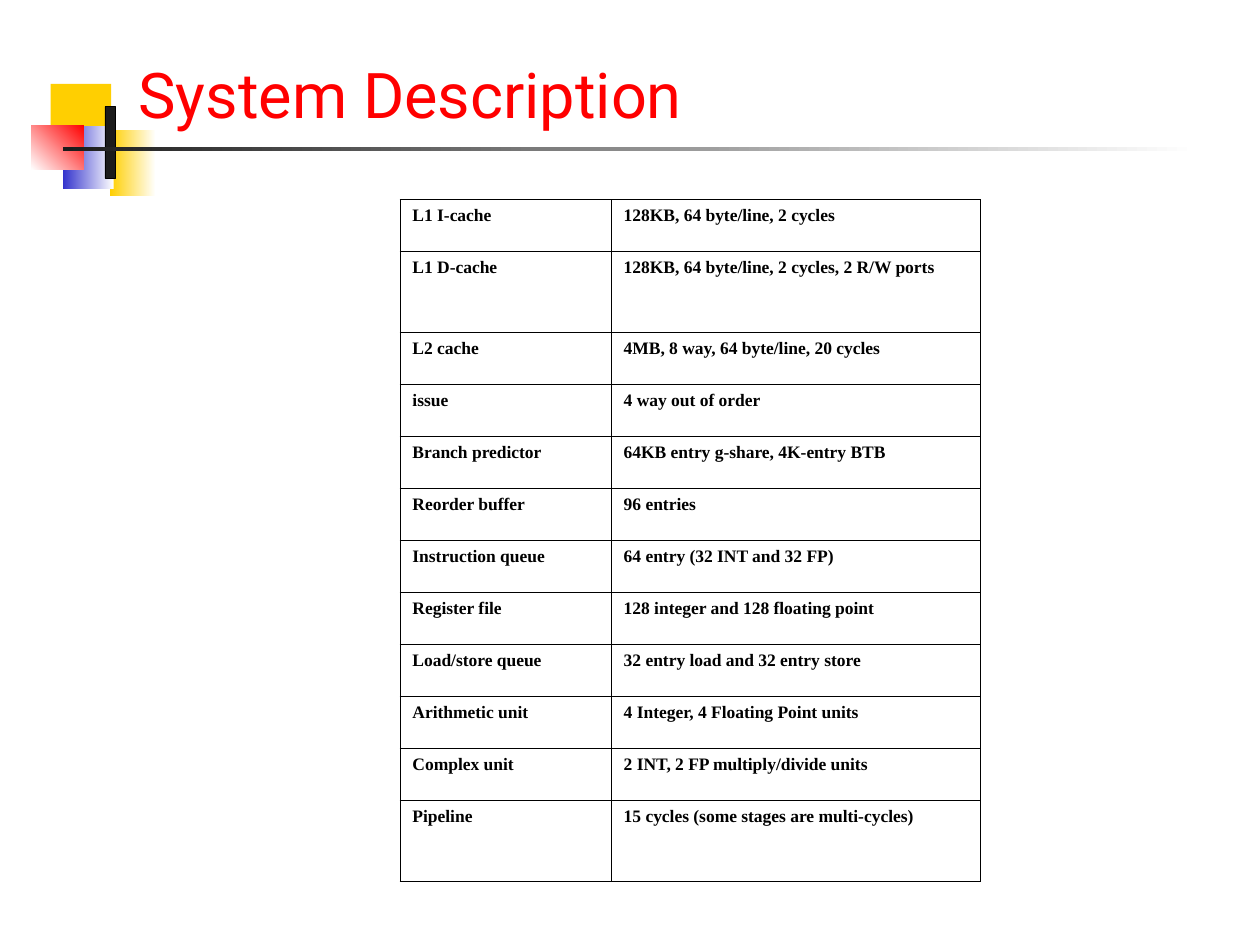
from lxml.etree import SubElement
from pptx import Presentation
from pptx.dml.color import RGBColor
from pptx.enum.shapes import MSO_SHAPE as Shape
from pptx.enum.text import MSO_ANCHOR as Anchor, MSO_AUTO_SIZE as AutoSize, PP_ALIGN as Align
from pptx.oxml.ns import qn
from pptx.util import Pt

# Content
TITLE = "System Description"
SPECIFICATIONS = [
    ("L1 I-cache", "128KB, 64 byte/line, 2 cycles"),
    ("L1 D-cache", "128KB, 64 byte/line, 2 cycles, 2 R/W ports"),
    ("L2 cache", "4MB, 8 way, 64 byte/line, 20 cycles"),
    ("issue", "4 way out of order"),
    ("Branch predictor", "64KB entry g-share, 4K-entry BTB"),
    ("Reorder buffer", "96 entries"),
    ("Instruction queue", "64 entry (32 INT and 32 FP)"),
    ("Register file", "128 integer and 128 floating point"),
    ("Load/store queue", "32 entry load and 32 entry store"),
    ("Arithmetic unit", "4 Integer, 4 Floating Point units"),
    ("Complex unit", "2 INT, 2 FP multiply/divide units"),
    ("Pipeline", "15 cycles (some stages are multi-cycles)"),
]
TALL_ROWS = {"L1 D-cache", "Pipeline"}

THEME = {
    "yellow": "FFCF01", "blue": "3333CC", "red": "FF0000",
    "dark": "1C1C1C", "white": "FFFFFF", "black": "000000",
    "title": {"name": "Roboto", "size": Pt(36), "bold": False},
    "cell": {"name": "Times New Roman", "size": Pt(10), "bold": True},
}

# Ornament: left, top, width, height, colours (two make a gradient), angle
ORNAMENT = [
    (29, 48, 34.5, 28, ["yellow"], None),
    (63, 74.3, 26, 37.5, ["white", "yellow"], 180),
    (36, 72, 29, 36, ["white", "blue"], 180),
    (18, 71.5, 30, 25.5, ["red", "white"], 225),
    (60, 61, 6, 41, ["dark"], None),
    (36, 84, 648, 2.5, ["white", "dark"], 180),
]
OUTLINED = 4

# Table geometry
TABLE_LEFT, TABLE_TOP = 228.5, 114
COLUMN_WIDTHS = (120.75, 210.75)
ROW_HEIGHT, TALL_HEIGHT = 29.7, 46.5
BORDER = 0.45


def color(name):
    return RGBColor.from_string(THEME[name])


def write(paragraph, text, style, color_name):
    run = paragraph.add_run()
    run.text = text
    for key, value in THEME[style].items():
        setattr(run.font, key, value)
    run.font.color.rgb = color(color_name)
    paragraph.alignment = Align.LEFT


def draw_ornament(slide):
    for index, (left, top, width, height, names, angle) in enumerate(ORNAMENT):
        shape = slide.shapes.add_shape(
            Shape.RECTANGLE, Pt(left), Pt(top), Pt(width), Pt(height))
        shape.shadow.inherit = False
        if angle is None:
            shape.fill.solid()
            shape.fill.fore_color.rgb = color(names[0])
        else:
            shape.fill.gradient()
            shape.fill.gradient_angle = angle
            for stop, name in zip(shape.fill.gradient_stops, names):
                stop.color.rgb = color(name)
        if index == OUTLINED:
            shape.line.color.rgb = color("black")
            shape.line.width = Pt(0.25)
        else:
            shape.line.fill.background()


def set_borders(cell):
    properties = cell._tc.get_or_add_tcPr()
    for side in ("a:lnL", "a:lnR", "a:lnT", "a:lnB"):
        line = SubElement(properties, qn(side), w=str(Pt(BORDER)))
        fill = SubElement(line, qn("a:solidFill"))
        SubElement(fill, qn("a:srgbClr"), val=THEME["black"])


def add_specification_table(slide):
    heights = [TALL_HEIGHT if name in TALL_ROWS else ROW_HEIGHT
               for name, _ in SPECIFICATIONS]
    table = slide.shapes.add_table(
        len(SPECIFICATIONS), len(COLUMN_WIDTHS), Pt(TABLE_LEFT), Pt(TABLE_TOP),
        Pt(sum(COLUMN_WIDTHS)), Pt(sum(heights))).table
    table.first_row = table.horz_banding = False
    for column, width in zip(table.columns, COLUMN_WIDTHS):
        column.width = Pt(width)
    for row, height, texts in zip(table.rows, heights, SPECIFICATIONS):
        row.height = Pt(height)
        for cell, text in zip(row.cells, texts):
            write(cell.text_frame.paragraphs[0], text, "cell", "black")
            set_borders(cell)
            cell.fill.background()


def add_title(slide):
    title = slide.shapes.title
    box = {"left": 72, "top": 30, "width": 632, "height": 48.5}
    for key, value in box.items():
        setattr(title, key, Pt(value))
    frame = title.text_frame
    frame_format = {"word_wrap": True, "auto_size": AutoSize.NONE,
                    "vertical_anchor": Anchor.BOTTOM}
    for key, value in frame_format.items():
        setattr(frame, key, value)
    write(frame.paragraphs[0], TITLE, "title", "red")


def main():
    presentation = Presentation()
    presentation.slide_width, presentation.slide_height = Pt(720), Pt(540)
    slide = presentation.slides.add_slide(presentation.slide_layouts[5])
    draw_ornament(slide)
    add_title(slide)
    add_specification_table(slide)
    presentation.save("out.pptx")


if __name__ == "__main__":
    main()
